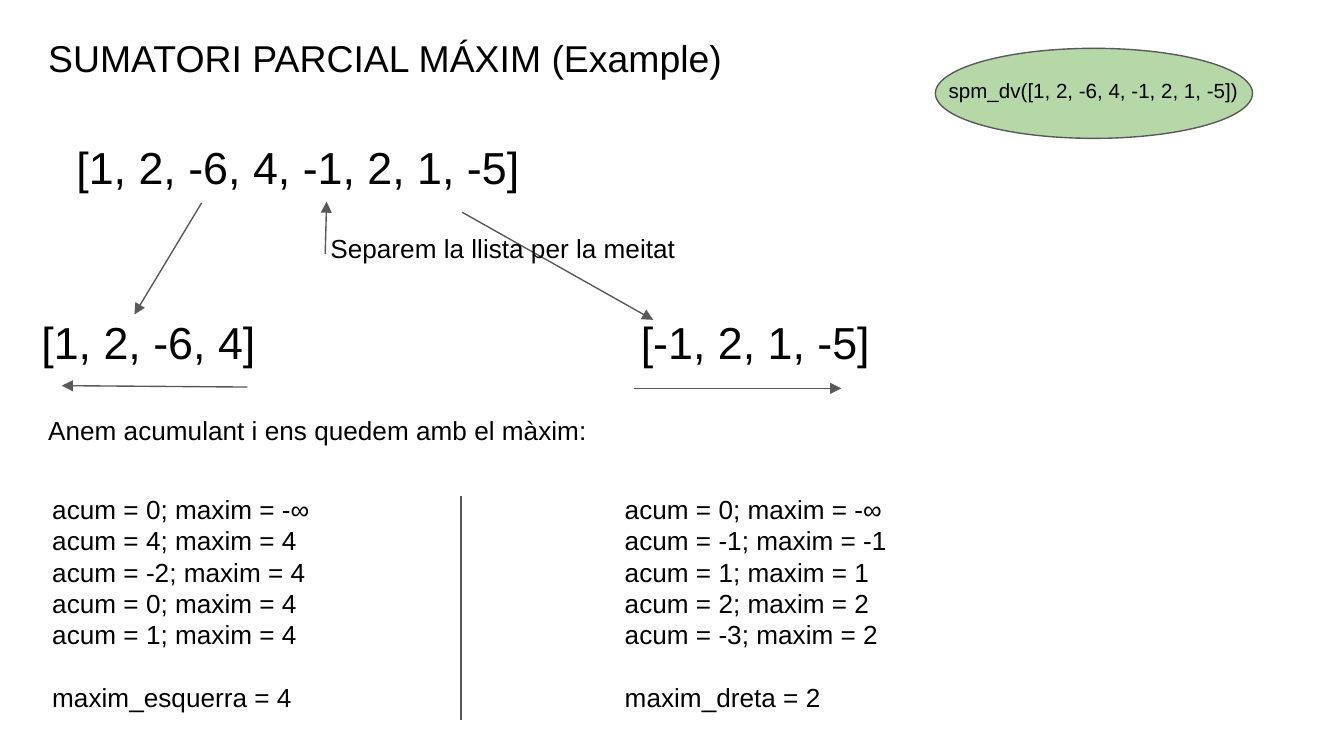
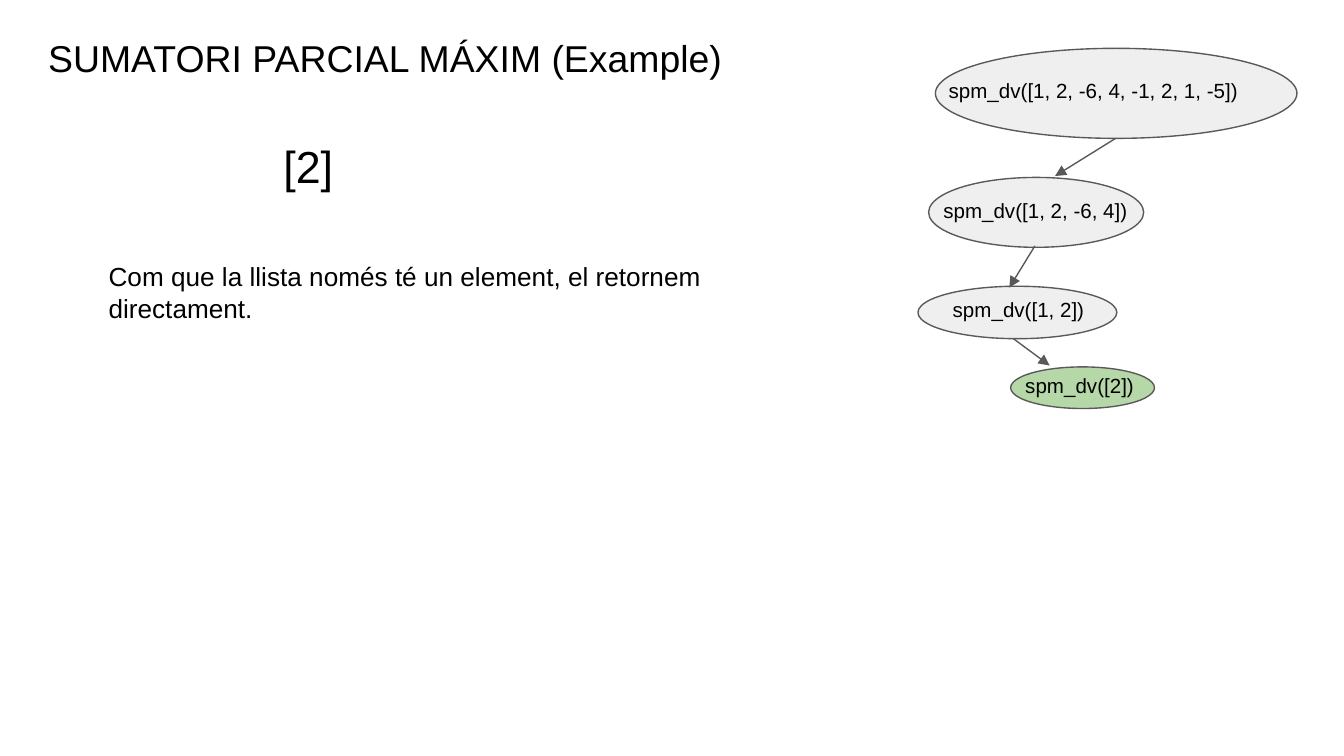
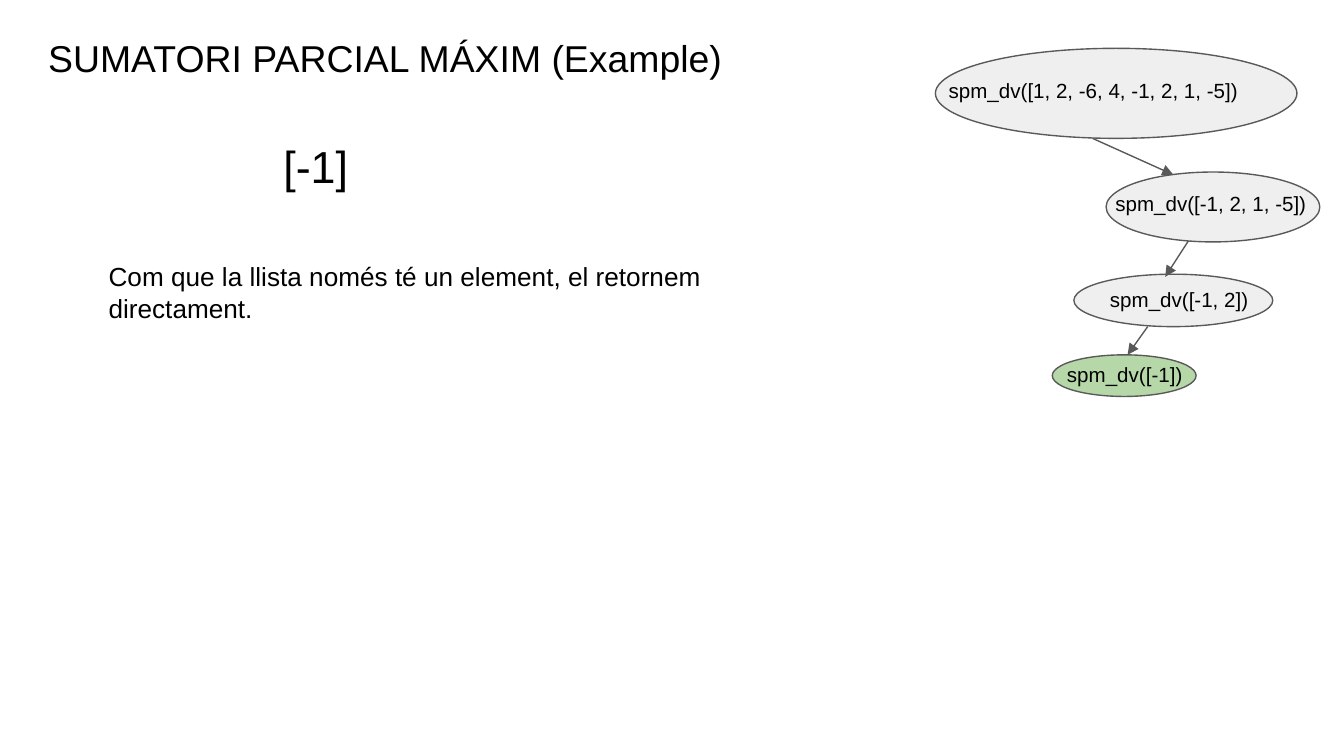
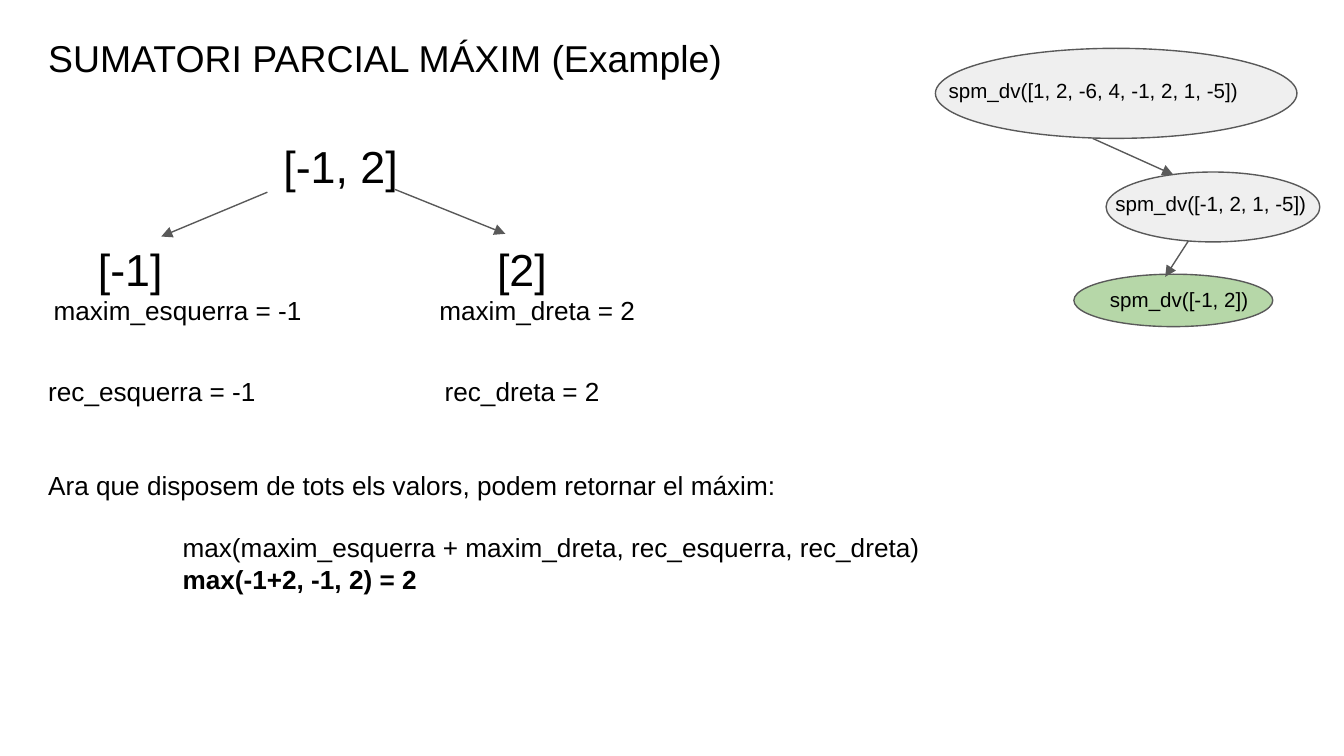
from collections import namedtuple

from lxml import etree
from pptx import Presentation
from pptx import util as u
from pptx.dml.color import RGBColor
from pptx.enum import shapes, text
from pptx.oxml import ns

Box = namedtuple("Box", "left top width height")
Call = namedtuple("Call", "label box label_shift link")

PAGE_WIDTH = 10
PAGE_HEIGHT = PAGE_WIDTH * 9 / 16
FONT = "Arial"
BLACK, GREY, PALE, GREEN = "000000", "595959", "EFEFEF", "B6D7A8"
TITLE_SIZE, LIST_SIZE, BODY_SIZE, CALL_SIZE = 20, 24, 14, 11
BLANK_LINE = 16.8
LIST_INDENT = 0.37

TITLE = "SUMATORI PARCIAL MÁXIM (Example)"
TITLE_BOX = Box(0.26, 0.16, 8.32, 0.52)
TREE_BOX = Box(6.8, 0.3, 3.2, 2.8)
BODY_BOX = Box(0, 0, 6.8, PAGE_HEIGHT)

ROOT_LABEL = "spm_dv([1, 2, -6, 4, -1, 2, 1, -5])"
ROOT = Call(ROOT_LABEL, Box(0.16, 0.06, 2.69, 0.67), (0, 0.13), None)
ROOT_ALONE = ROOT._replace(box=ROOT.box._replace(width=2.36))
LEFT_HALF = Call("spm_dv([1, 2, -6, 4])", Box(0.11, 1.02, 1.6, 0.52),
                 (0.01, 0.06), (1.5, 0.73, 1.05, 1.01))
LEFT_PAIR = Call("spm_dv([1, 2])", Box(0.03, 1.83, 1.48, 0.39),
                 (0.16, -0.01), (0.9, 1.53, 0.71, 1.84))
LEFT_SINGLE = Call("spm_dv([2])", Box(0.72, 2.43, 1.07, 0.31),
                   (0.01, -0.05), (0.74, 2.22, 1.01, 2.42))
RIGHT_HALF = Call("spm_dv([-1, 2, 1, -5])", Box(1.43, 0.98, 1.59, 0.52),
                  (-0.03, 0.05), (1.33, 0.73, 1.93, 1))
RIGHT_PAIR = Call("spm_dv([-1, 2])", Box(1.19, 1.74, 1.48, 0.39),
                  (0.17, 0), (2.07, 1.45, 1.87, 1.76))
RIGHT_SINGLE = Call("spm_dv([-1])", Box(1.03, 2.34, 1.07, 0.31),
                    (0.01, -0.04), (1.74, 2.13, 1.59, 2.34))


def color(value):
    return RGBColor.from_string(value)


def inside(box, left, top, width, height):
    return Box(box.left + left, box.top + top, width, height)


def inches(box):
    return [u.Inches(length) for length in box]


def add_paragraph(frame, content, first=False, size=BODY_SIZE, bold=False,
                  before=0, indent=0, tabs=()):
    para = frame.paragraphs[0] if first else frame.add_paragraph()
    properties = para._p.get_or_add_pPr()
    if indent:
        properties.set("marL", str(u.Inches(indent)))
        properties.set("indent", "0")
    if tabs:
        stops = etree.SubElement(properties, ns.qn("a:tabLst"))
        for position in tabs:
            etree.SubElement(stops, ns.qn("a:tab"),
                             pos=str(u.Inches(position)), algn="l")
    if before:
        para.space_before = u.Pt(before)
    span = para.add_run()
    span.text = content
    span.font.name = FONT
    span.font.size = u.Pt(size)
    span.font.bold = bold
    span.font.color.rgb = color(BLACK)


def add_text(page, box, content, **format):
    frame = page.shapes.add_textbox(*inches(box)).text_frame
    frame.word_wrap = True
    frame.vertical_anchor = text.MSO_ANCHOR.TOP
    frame.margin_left = frame.margin_right = u.Inches(0.1)
    frame.margin_top = frame.margin_bottom = u.Inches(0.1)
    add_paragraph(frame, content, first=True, **format)
    return frame


def add_line(page, box, ends, arrow=True):
    x1, y1, x2, y2 = ends
    line = page.shapes.add_connector(
        shapes.MSO_CONNECTOR.STRAIGHT,
        u.Inches(box.left + x1), u.Inches(box.top + y1),
        u.Inches(box.left + x2), u.Inches(box.top + y2))
    line.line.color.rgb = color(GREY)
    line.line.width = u.Pt(0.75)
    if arrow:
        etree.SubElement(line.line._get_or_add_ln(), ns.qn("a:tailEnd"),
                         type="triangle")
    etree.SubElement(line._element.spPr, ns.qn("a:effectLst"))


def add_call(page, box, call, fill):
    bubble = page.shapes.add_shape(shapes.MSO_SHAPE.OVAL,
                                   *inches(inside(box, *call.box)))
    bubble.shadow.inherit = False
    bubble.fill.solid()
    bubble.fill.fore_color.rgb = color(fill)
    bubble.line.color.rgb = color(GREY)
    bubble.line.width = u.Pt(0.75)
    shift_x, shift_y = call.label_shift
    label_box = inside(box, call.box.left + shift_x, call.box.top + shift_y,
                       2.81, 0.33)
    add_text(page, label_box, call.label, size=CALL_SIZE)


def add_call_tree(page, box, calls, current):
    for call in calls:
        add_call(page, box, call, GREEN if call is current else PALE)
        if call.link:
            add_line(page, box, call.link)


def add_page(deck, calls, current):
    page = deck.slides.add_slide(deck.slide_layouts[6])
    add_text(page, TITLE_BOX, TITLE, size=TITLE_SIZE)
    add_call_tree(page, TREE_BOX, calls, current)
    return page


def add_trace(page, box, steps, result):
    frame = add_text(page, box, steps[0])
    for step in steps[1:]:
        add_paragraph(frame, step)
    add_paragraph(frame, result, before=BLANK_LINE)


def add_split(page, box):
    add_text(page, inside(box, 0.47, 0.94, 4.42, 0.52),
             "[1, 2, -6, 4, -1, 2, 1, -5]", size=LIST_SIZE)
    add_text(page, inside(box, 0.21, 2.24, 8.04, 0.52),
             "[1, 2, -6, 4]\t[-1, 2, 1, -5]", size=LIST_SIZE, tabs=[4.46])
    add_text(page, inside(box, 0.26, 2.98, 4.42, 0.52),
             "Anem acumulant i ens quedem amb el màxim:")
    add_trace(page, inside(box, 0.29, 3.57, 2.62, 1.72),
              ["acum = 0; maxim = -∞", "acum = 4; maxim = 4",
               "acum = -2; maxim = 4", "acum = 0; maxim = 4",
               "acum = 1; maxim = 4"], "maxim_esquerra = 4")
    add_trace(page, inside(box, 4.55, 3.57, 2.62, 1.72),
              ["acum = 0; maxim = -∞", "acum = -1; maxim = -1",
               "acum = 1; maxim = 1", "acum = 2; maxim = 2",
               "acum = -3; maxim = 2"], "maxim_dreta = 2")
    add_line(page, box, (3.43, 3.69, 3.43, 5.36), arrow=False)
    for ends in [(1.84, 2.88, 0.46, 2.87), (4.72, 2.89, 6.26, 2.89),
                 (1.5, 1.51, 1, 2.34), (3.44, 1.58, 4.86, 2.38),
                 (2.42, 1.89, 2.43, 1.5)]:
        add_line(page, box, ends)
    add_text(page, inside(box, 2.36, 1.63, 4.42, 0.52),
             "Separem la llista per la meitat")


def add_current_list(page, box, content):
    add_text(page, inside(box, 1.64, 0.93, 2.12, 0.52), content,
             size=LIST_SIZE, indent=LIST_INDENT)


def add_base_case(page, box, content):
    add_current_list(page, box, content)
    add_text(page, inside(box, 0.71, 1.84, 5.07, 0.52),
             "Com que la llista només té un element, el retornem directament.")


def add_combination(page, box):
    add_current_list(page, box, "[-1, 2]")
    add_text(page, inside(box, 0.26, 1.7, 4.88, 0.52), "\t[-1]\t[2]",
             size=LIST_SIZE, tabs=[LIST_INDENT, 3.34])
    add_text(page, inside(box, 0.3, 2.09, 2.62, 1.72), "maxim_esquerra = -1")
    add_text(page, inside(box, 3.17, 2.09, 2.62, 1.41), "maxim_dreta = 2")
    add_line(page, box, (1.99, 1.43, 1.2, 1.76))
    add_line(page, box, (2.94, 1.41, 3.76, 1.74))
    frame = add_text(page, inside(box, 0.26, 2.69, 7.25, 2.67),
                     "rec_esquerra = -1\trec_dreta = 2", tabs=[2.95])
    add_paragraph(
        frame, "Ara que disposem de tots els valors, podem retornar el máxim:",
        before=2 * BLANK_LINE)
    add_paragraph(
        frame, "max(maxim_esquerra + maxim_dreta, rec_esquerra, rec_dreta)",
        before=BLANK_LINE, indent=1)
    add_paragraph(frame, "max(-1+2, -1, 2) = 2", bold=True, indent=1)


def main():
    deck = Presentation()
    deck.slide_width = u.Inches(PAGE_WIDTH)
    deck.slide_height = u.Inches(PAGE_HEIGHT)
    add_split(add_page(deck, [ROOT_ALONE], ROOT_ALONE), BODY_BOX)
    left_calls = [ROOT, LEFT_HALF, LEFT_PAIR, LEFT_SINGLE]
    add_base_case(add_page(deck, left_calls, LEFT_SINGLE), BODY_BOX, "[2]")
    right_calls = [ROOT, RIGHT_SINGLE, RIGHT_PAIR, RIGHT_HALF]
    add_base_case(add_page(deck, right_calls, RIGHT_SINGLE), BODY_BOX, "[-1]")
    pair_calls = [ROOT, RIGHT_PAIR, RIGHT_HALF]
    add_combination(add_page(deck, pair_calls, RIGHT_PAIR), BODY_BOX)
    deck.save("out.pptx")


if __name__ == "__main__":
    main()
